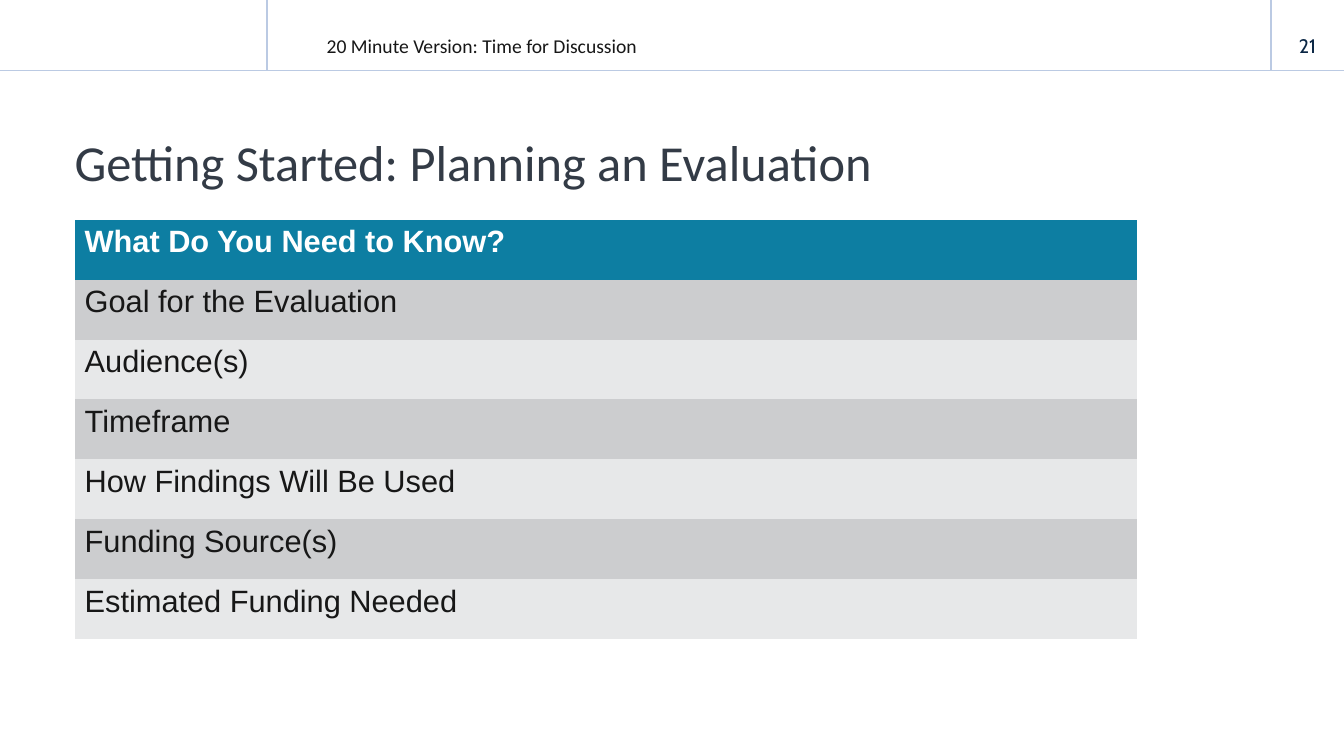
from pptx import Presentation
from pptx.dml.color import RGBColor as RGB
from pptx.enum.shapes import MSO_CONNECTOR as Link
from pptx.enum.text import MSO_ANCHOR as Anchor, MSO_AUTO_SIZE as Fit, PP_ALIGN as Align
from pptx.oxml.ns import qn
from pptx.util import Pt
from lxml.etree import SubElement as Sub

# Content
LABEL = "20 Minute Version: Time for Discussion"
TITLE = "Getting Started: Planning an Evaluation"
PAGE = "21"
ROWS = [
    "What Do You Need to Know?",
    "Goal for the Evaluation",
    "Audience(s)",
    "Timeframe",
    "How Findings Will Be Used",
    "Funding Source(s)",
    "Estimated Funding Needed",
]

# Theme: font name, size, colour, bold
THEME = {
    "label": ("Calibri", 14, "171717", False),
    "title": ("Calibri", 36, "333B46", False),
    "page": ("Cabin", 14, "0A2644", False),
    "head": ("Arial", 22, "FFFFFF", True),
    "cell": ("Arial", 22, "171717", False),
    "rule": "BBCAE3",
    "fills": {"head": "0D7EA2", "odd": "CCCDCF", "even": "E7E8E9"},
}

# Layout in points
WIDE, HIGH = 960, 540
BAR = 50.4
LEFT, TOP = 53.3, 157
COLS = [332.6, 426.2]
ROW = 42.8
EDGE = 908
RULES = [(0, BAR, WIDE, BAR), (190.8, 0, 190.8, BAR), (EDGE, 0, EDGE, BAR)]


def style(para, kind):
    name, size, tint, bold = THEME[kind]
    para.font.color.rgb = RGB.from_string(tint)
    for key, val in {"name": name, "size": Pt(size), "bold": bold}.items():
        setattr(para.font, key, val)


def write(shape, text, kind, box, pads, anchor, align=Align.LEFT):
    for key, val in zip(("left", "top", "width", "height"), box):
        setattr(shape, key, Pt(val))
    frame = shape.text_frame
    frame.text = text
    form = {"word_wrap": True, "auto_size": Fit.NONE, "vertical_anchor": anchor}
    for side, pad in zip(("left", "top", "right", "bottom"), pads):
        form["margin_" + side] = Pt(pad)
    for key, val in form.items():
        setattr(frame, key, val)
    para = frame.paragraphs[0]
    para.alignment = align
    para.space_before = Pt(0)
    style(para, kind)
    return para


deck = Presentation()
deck.slide_width, deck.slide_height = Pt(WIDE), Pt(HIGH)
slide = deck.slides.add_slide(deck.slide_layouts[1])
shapes = slide.shapes

# Header rules
for ends in RULES:
    rule = shapes.add_connector(Link.STRAIGHT, *map(Pt, ends))
    rule.line.color.rgb = RGB.from_string(THEME["rule"])
    rule.line.width = Pt(1)
    Sub(rule.element.spPr, qn("a:effectLst"))

# Header label, title and page number
label = write(slide.placeholders[1], LABEL, "label", (215.3, 8.6, 254.9, 32.4),
              (0, 3.6, 7.2, 0), Anchor.BOTTOM)
props = label._p.get_or_add_pPr()
props.set("marL", str(Pt(36)))
props.set("indent", str(Pt(-18)))
Sub(props, qn("a:buNone"))

write(shapes.title, TITLE, "title", (LEFT, 82.8, EDGE - LEFT, 65.5),
      (0, 3.6, 7.2, 3.6), Anchor.MIDDLE)
write(shapes.add_textbox(0, 0, 0, 0), PAGE, "page", (EDGE, 18, WIDE - EDGE, 28.8),
      (7.2, 3.6, 7.2, 3.6), Anchor.MIDDLE, Align.CENTER)

# Table of planning questions
grid = shapes.add_table(len(ROWS), len(COLS), Pt(LEFT), Pt(TOP),
                        Pt(sum(COLS)), Pt(ROW * len(ROWS))).table
for col, width in zip(grid.columns, COLS):
    col.width = Pt(width)
for i, (row, text) in enumerate(zip(grid.rows, ROWS)):
    row.height = Pt(ROW)
    band = "odd" if i % 2 else "even" if i else "head"
    row.cells[0].text = text
    for cell in row.cells:
        cell.fill.solid()
        cell.fill.fore_color.rgb = RGB.from_string(THEME["fills"][band])
        style(cell.text_frame.paragraphs[0], "cell" if i else "head")
# Plain cells without the white borders of the default style
grid._tbl.tblPr.find(qn("a:tableStyleId")).text = "{2D5ABB26-0587-4C30-8999-92F81FD0307C}"

deck.save("out.pptx")
